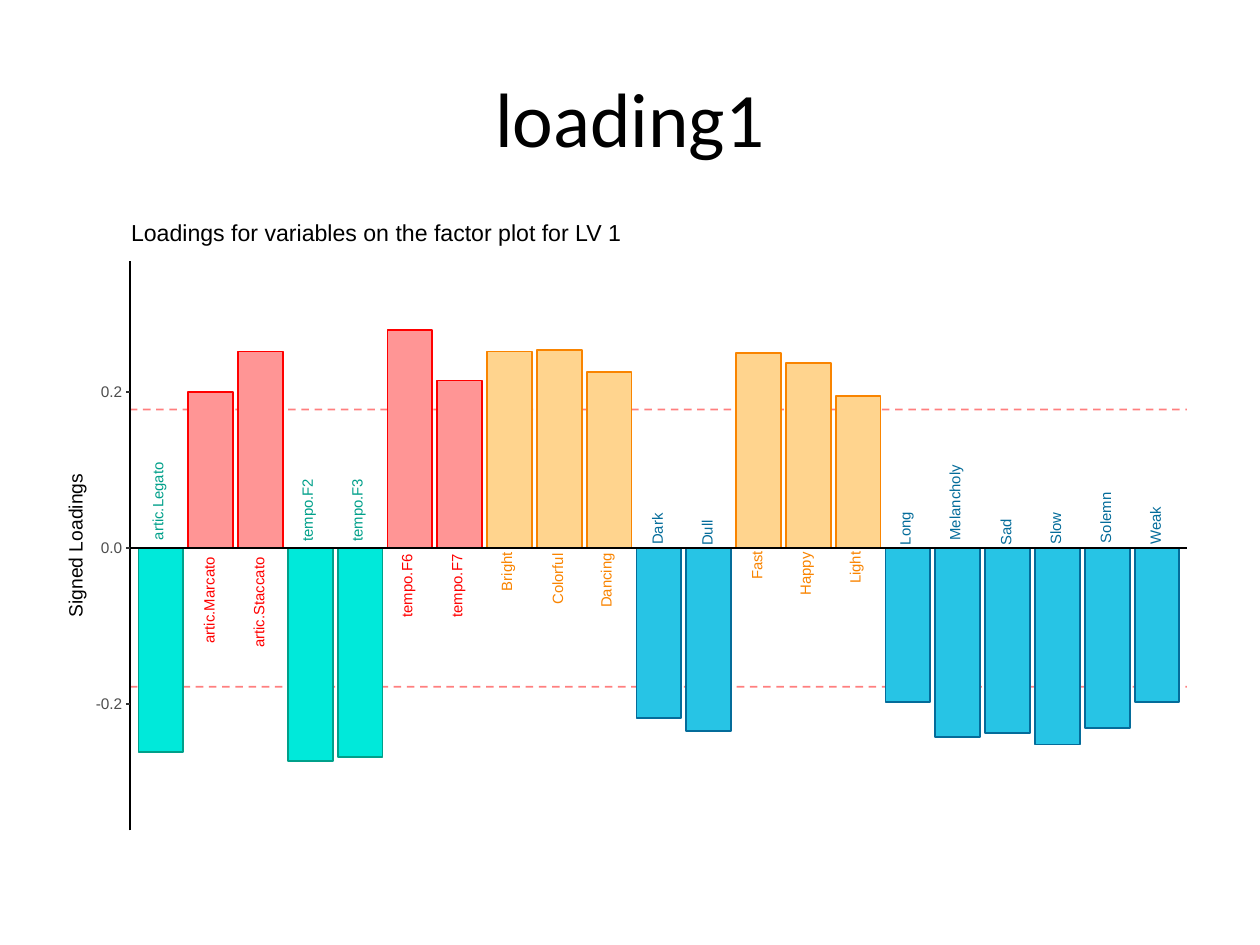
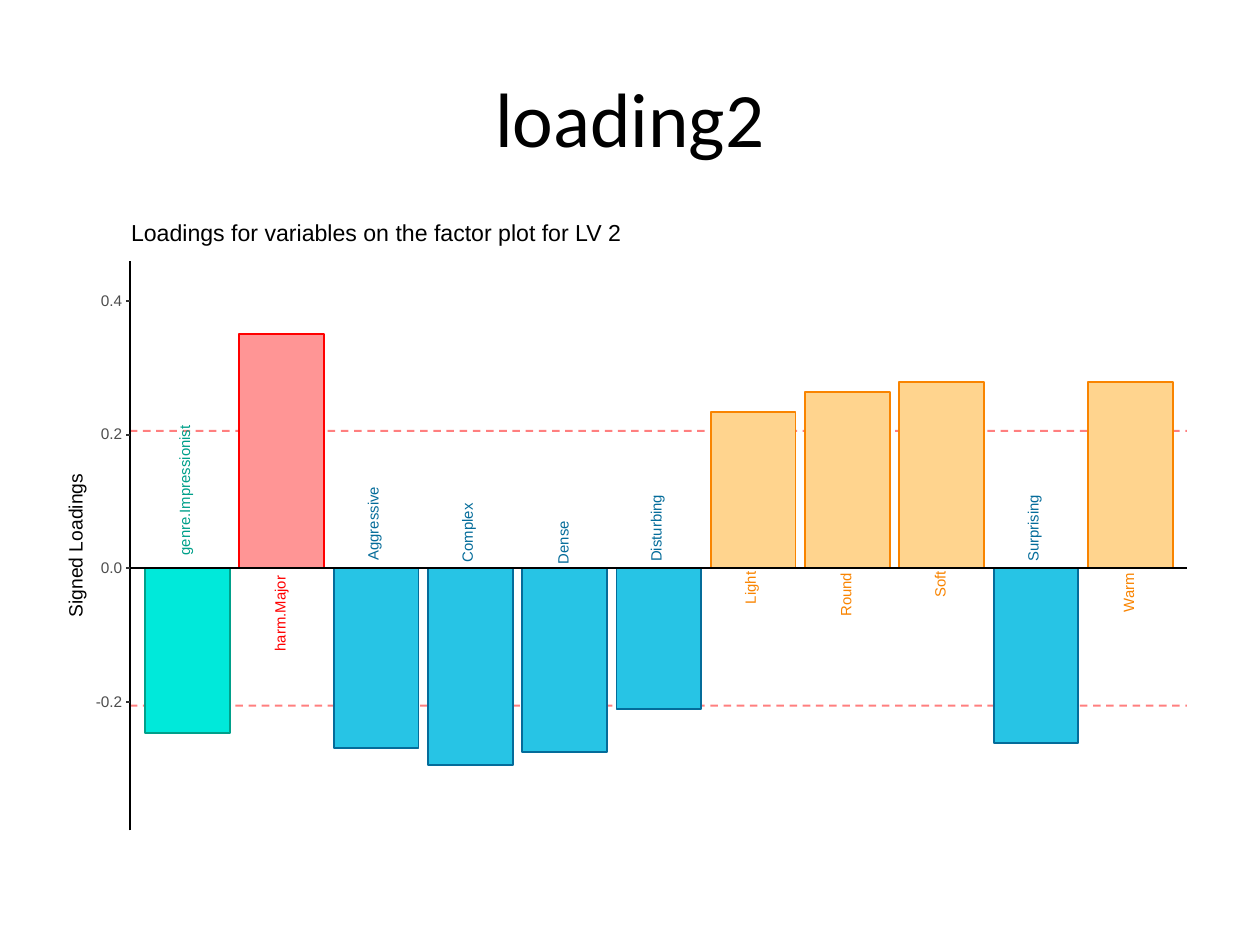
"""Build two slides of signed factor loading plots."""
from dataclasses import dataclass
from typing import NamedTuple

from pptx import Presentation
from pptx.dml.color import RGBColor
from pptx.enum.dml import MSO_LINE
from pptx.enum.shapes import MSO_CONNECTOR, MSO_SHAPE
from pptx.enum.text import MSO_ANCHOR, PP_ALIGN
from pptx.oxml.ns import qn
from pptx.shapes.connector import Connector
from pptx.shapes.shapetree import GroupShapes
from pptx.slide import Slide
from pptx.util import Emu, Pt
from lxml.etree import SubElement

PX = 9144
BLACK = RGBColor(0x00, 0x00, 0x00)
WHITE = RGBColor(0xFF, 0xFF, 0xFF)
TICK_TEXT = RGBColor(0x4D, 0x4D, 0x4D)
TICK_LINE = RGBColor(0x33, 0x33, 0x33)
THRESHOLD = RGBColor(0xFF, 0x00, 0x00)
TITLE_FONT, PLOT_FONT = "Calibri", "Arial"
LINE_WIDTH = Pt(1.07)
AXIS_LEFT, AXIS_RIGHT, AXIS_TOP, AXIS_BOTTOM = 103, 942, 207, 659
BARS_LEFT = 104
TICK_LEFT = 100
LABEL_SLACK = 2
DESCENDERS = set("gpy")


class Palette(NamedTuple):
    fill: RGBColor
    accent: RGBColor


TEAL = Palette(RGBColor(0x00, 0xE9, 0xDA), RGBColor(0x00, 0xA0, 0x8A))
RED = Palette(RGBColor(0xFF, 0x95, 0x95), RGBColor(0xFF, 0x00, 0x00))
ORANGE = Palette(RGBColor(0xFF, 0xD4, 0x8E), RGBColor(0xF9, 0x84, 0x00))
BLUE = Palette(RGBColor(0x27, 0xC4, 0xE5), RGBColor(0x04, 0x6C, 0x9A))


class Box(NamedTuple):
    left: float
    top: float
    width: float
    height: float

    def emu(self) -> list[Emu]:
        return [Emu(round(length * PX)) for length in self]

    def widened(self, slack: int) -> "Box":
        return Box(self.left - slack, self.top, self.width + 2 * slack, self.height)


class Bar(NamedTuple):
    name: str
    palette: Palette
    height: int
    label_width: int


@dataclass(frozen=True)
class LoadingPlot:
    number: int
    zero: int
    tick_gap: int
    ticks: range
    threshold: int
    bars: list[Bar]


PLOTS = [
    LoadingPlot(1, 435, 124, range(-1, 2), 110, [
        Bar("artic.Legato", TEAL, -162, 62),
        Bar("artic.Marcato", RED, 124, 69),
        Bar("artic.Staccato", RED, 156, 72),
        Bar("tempo.F2", TEAL, -169, 50),
        Bar("tempo.F3", TEAL, -166, 50),
        Bar("tempo.F6", RED, 173, 50),
        Bar("tempo.F7", RED, 133, 50),
        Bar("Bright", ORANGE, 156, 31),
        Bar("Colorful", ORANGE, 157, 41),
        Bar("Dancing", ORANGE, 140, 43),
        Bar("Dark", BLUE, -135, 25),
        Bar("Dull", BLUE, -145, 20),
        Bar("Fast", ORANGE, 155, 23),
        Bar("Happy", ORANGE, 147, 34),
        Bar("Light", ORANGE, 121, 26),
        Bar("Long", BLUE, -122, 26),
        Bar("Melancholy", BLUE, -150, 60),
        Bar("Sad", BLUE, -147, 21),
        Bar("Slow", BLUE, -156, 26),
        Bar("Solemn", BLUE, -143, 40),
        Bar("Weak", BLUE, -122, 30),
    ]),
    LoadingPlot(2, 451, 106, range(-1, 3), 109, [
        Bar("genre.Impressionist", TEAL, -131, 103),
        Bar("harm.Major", RED, 186, 60),
        Bar("Aggressive", BLUE, -143, 59),
        Bar("Complex", BLUE, -156, 47),
        Bar("Dense", BLUE, -146, 34),
        Bar("Disturbing", BLUE, -112, 53),
        Bar("Light", ORANGE, 124, 26),
        Bar("Round", ORANGE, 140, 35),
        Bar("Soft", ORANGE, 148, 21),
        Bar("Surprising", BLUE, -139, 53),
        Bar("Warm", ORANGE, 148, 32),
    ]),
]


def add_rectangle(shapes: GroupShapes, box: Box, palette: Palette) -> None:
    shape = shapes.add_shape(MSO_SHAPE.RECTANGLE, *box.emu())
    shape.shadow.inherit = False
    shape.fill.solid()
    shape.fill.fore_color.rgb = palette.fill
    shape.line.color.rgb = palette.accent
    shape.line.width = LINE_WIDTH


def add_line(shapes: GroupShapes, start: tuple[int, int], end: tuple[int, int],
             color: RGBColor) -> Connector:
    points = [Emu(length * PX) for length in (*start, *end)]
    connector = shapes.add_connector(MSO_CONNECTOR.STRAIGHT, *points)
    connector.line.color.rgb = color
    connector.line.width = LINE_WIDTH
    SubElement(connector.element.spPr, qn("a:effectLst"))
    return connector


def add_threshold(shapes: GroupShapes, y: int) -> None:
    connector = add_line(shapes, (AXIS_LEFT, y), (AXIS_RIGHT, y), THRESHOLD)
    connector.line.dash_style = MSO_LINE.DASH
    color = connector.element.spPr.find(".//" + qn("a:srgbClr"))
    SubElement(color, qn("a:alpha"), val="50000")


def add_label(shapes: GroupShapes, text: str, box: Box, size: float,
              color: RGBColor, rotation: int = 0) -> None:
    shape = shapes.add_textbox(*box.widened(LABEL_SLACK).emu())
    shape.rotation = rotation
    frame = shape.text_frame
    frame.word_wrap = False
    frame.vertical_anchor = MSO_ANCHOR.MIDDLE
    frame.margin_left = frame.margin_right = 0
    frame.margin_top = frame.margin_bottom = 0
    paragraph = frame.paragraphs[0]
    paragraph.text = text
    paragraph.alignment = PP_ALIGN.CENTER
    paragraph.line_spacing = Pt(size)
    paragraph.font.name = PLOT_FONT
    paragraph.font.size = Pt(size)
    paragraph.font.color.rgb = color


def add_bars(shapes: GroupShapes, plot: LoadingPlot) -> None:
    step = (AXIS_RIGHT - BARS_LEFT) / (len(plot.bars) + 0.2)
    centers = [BARS_LEFT + step * (index + 0.6) for index in range(len(plot.bars))]
    width = step * 0.9
    for bar, center in zip(plot.bars, centers):
        top = plot.zero - max(bar.height, 0)
        add_rectangle(shapes, Box(center - width / 2, top, width, abs(bar.height)),
                      bar.palette)
    for bar, center in zip(plot.bars, centers):
        thickness = 11 if DESCENDERS & set(bar.name) else 9
        side = 1 if bar.height > 0 else -1
        middle_x = center + 4 - thickness / 2
        middle_y = plot.zero + side * 0.6 * bar.label_width
        box = Box(middle_x - bar.label_width / 2, middle_y - thickness / 2,
                  bar.label_width, thickness)
        add_label(shapes, bar.name, box, 8.5, bar.palette.accent, 270)


def add_axes(shapes: GroupShapes, plot: LoadingPlot) -> None:
    add_line(shapes, (AXIS_LEFT, plot.zero), (AXIS_RIGHT, plot.zero), BLACK)
    add_line(shapes, (AXIS_LEFT, AXIS_BOTTOM), (AXIS_LEFT, AXIS_TOP), BLACK)
    for tick in plot.ticks:
        y = plot.zero - tick * plot.tick_gap
        width = 21 if tick < 0 else 17
        add_label(shapes, f"{tick * 0.2:.1f}", Box(97 - width, y - 4, width, 9),
                  8.8, TICK_TEXT)
        add_line(shapes, (TICK_LEFT, y), (AXIS_LEFT, y), TICK_LINE)


def add_title(slide: Slide, text: str) -> None:
    title = slide.shapes.title
    title.left, title.top, title.width, title.height = Box(50, 30, 900, 125).emu()
    title.text_frame.vertical_anchor = MSO_ANCHOR.MIDDLE
    paragraph = title.text_frame.paragraphs[0]
    paragraph.text = text
    paragraph.alignment = PP_ALIGN.CENTER
    paragraph.font.name = TITLE_FONT
    paragraph.font.size = Pt(44)
    paragraph.font.color.rgb = BLACK


def add_plot(slide: Slide, plot: LoadingPlot) -> None:
    shapes = slide.shapes.add_group_shape().shapes
    add_rectangle(shapes, Box(50, 175, 900, 495), Palette(WHITE, WHITE))
    for side in (-1, 1):
        add_threshold(shapes, plot.zero + side * plot.threshold)
    add_bars(shapes, plot)
    add_axes(shapes, plot)
    add_label(shapes, "Signed Loadings", Box(4, 426, 114, 14), 11, BLACK, 270)
    add_label(shapes, f"Loadings for variables on the factor plot for LV {plot.number}",
              Box(BARS_LEFT, 178, 389, 17), 13.2, BLACK)


def main() -> None:
    presentation = Presentation()
    presentation.slide_width = Emu(1000 * PX)
    presentation.slide_height = Emu(750 * PX)
    for plot in PLOTS:
        slide = presentation.slides.add_slide(presentation.slide_layouts[5])
        add_title(slide, f"loading{plot.number}")
        add_plot(slide, plot)
    presentation.save("out.pptx")


if __name__ == "__main__":
    main()
